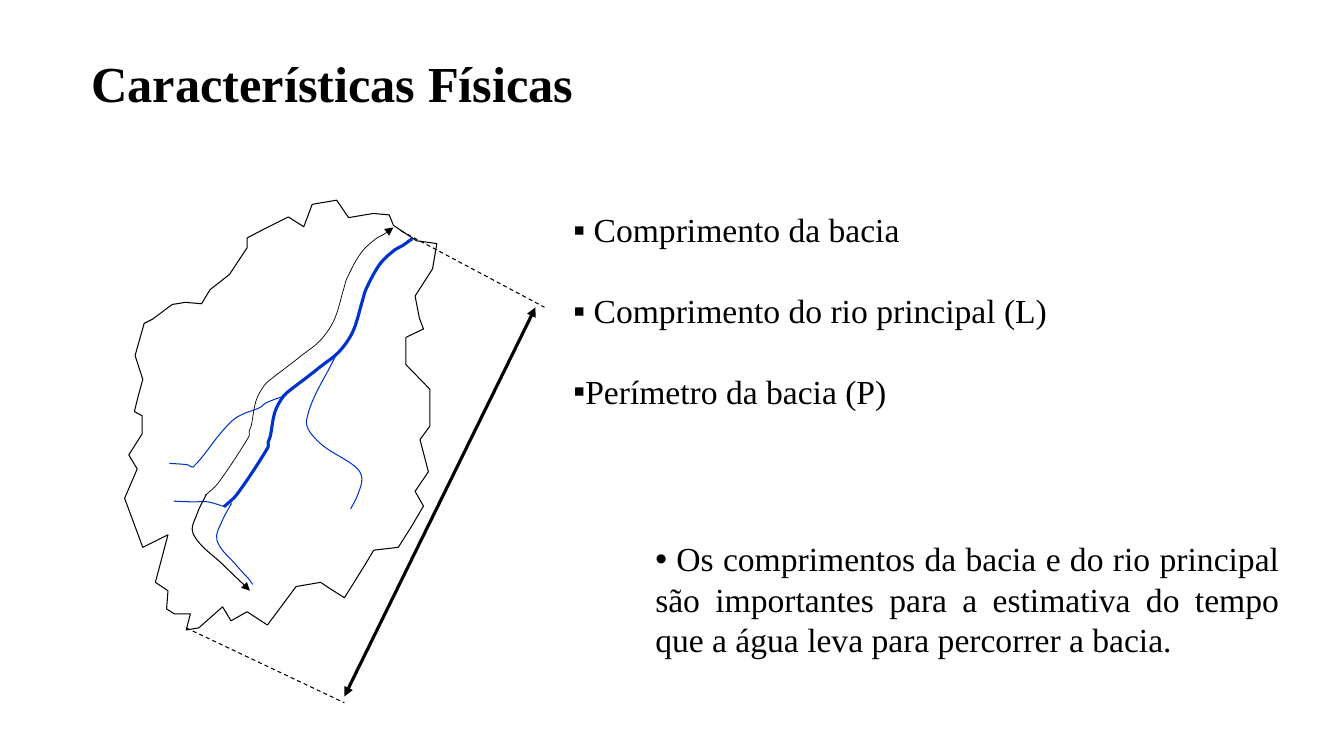
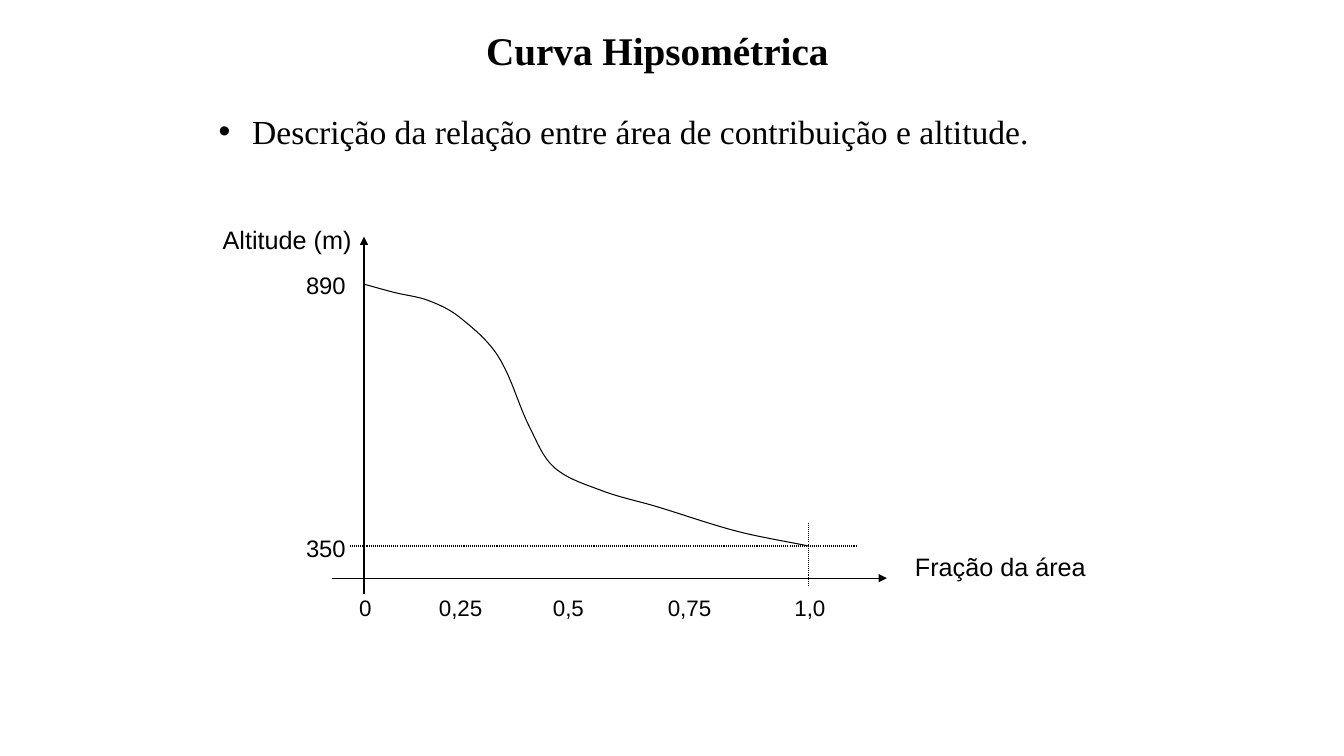
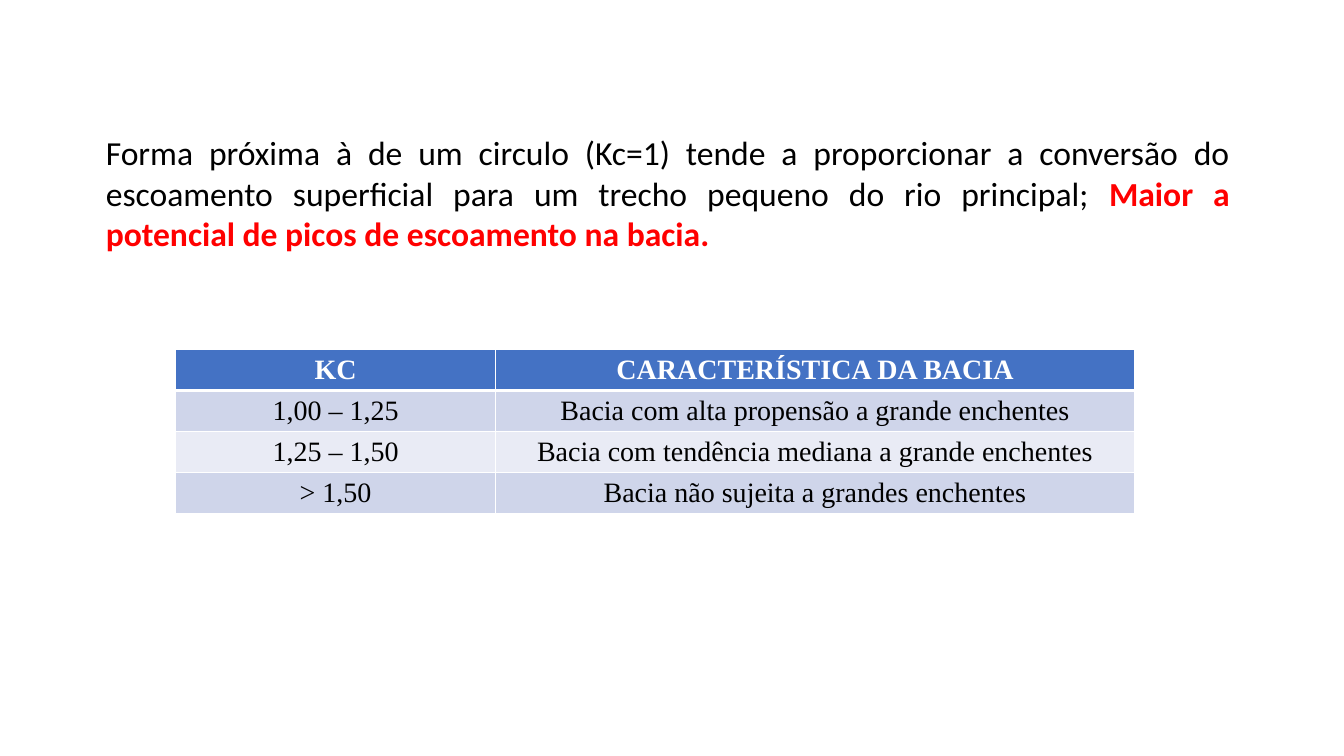
import math

from lxml import etree
from pptx import Presentation
from pptx import util as u
from pptx.dml.color import RGBColor
from pptx.enum import dml, shapes, text
from pptx.oxml.ns import qn

Pt = u.Pt
COLORS = {"ink": "000000", "river": "0033CC", "alert": "FF0000", "white": "FFFFFF",
          "header": "4472C4", "band": "CFD5EA", "band_light": "E9EBF5"}
SERIF, SANS, BODY = "Times New Roman", "Arial", "Calibri"
LEFT, CENTER, JUSTIFY = text.PP_ALIGN.LEFT, text.PP_ALIGN.CENTER, text.PP_ALIGN.JUSTIFY

# Basin drawing, all points in pt
OUTLINE = [
    (119, 435), (120, 422), (111, 416), (120, 382), (102, 391), (89, 356), (98, 335),
    (92, 325), (101.5, 310), (101.5, 297), (96, 294), (99, 282), (102, 271), (96.5, 254),
    (103, 231), (109, 228), (123, 217.5), (132.5, 216), (144, 217), (150, 207), (164, 196),
    (176.5, 177), (176.5, 170), (188, 164), (206, 155), (217, 162), (223, 146), (240.5, 143),
    (249, 155.5), (266.5, 152.5), (278, 153.5), (281, 161), (297.5, 172), (312, 174),
    (309, 192), (296.5, 211.5), (299.5, 227), (302.5, 235), (290, 241), (290, 260.5),
    (307, 278), (307, 304.5), (300, 314), (306, 337), (296.5, 351), (302.5, 361.5),
    (294, 376), (284.5, 391), (267, 393), (261, 403), (252, 417.5), (246, 427), (235, 420),
    (229, 416), (211.5, 419), (191, 446.5), (176.5, 437), (165, 443.5), (159, 433.5),
    (150.5, 441), (142, 448.5), (133, 450), (136, 438.5), (124.5, 438.5)]
MAIN_RIVER = [
    (294.5, 170.5), (287.5, 175.5), (282, 178.5), (271.5, 188.5), (261.5, 206.5),
    (259, 214.5), (252, 237), (242, 251.5), (229.5, 261.5), (218, 270.5), (207.5, 278.5),
    (202.5, 283), (196.5, 294), (193, 312), (191.5, 316), (191.5, 319.5), (169, 353.5),
    (160, 362)]
TRIBUTARIES = [
    [(202.5, 283), (189.5, 288), (186, 291), (173, 296), (166.5, 300), (157.5, 309.5),
     (138, 333.5), (134, 332), (121, 331)],
    [(240, 253.5), (219, 300), (228, 316), (254, 333.5), (258.5, 341.5), (255.5, 353.5),
     (250.5, 363.5)],
    [(160.5, 362), (148.5, 358.5), (138, 358.5), (124, 358)],
    [(165.5, 359.5), (159, 371.5), (155, 386), (169, 404), (178.5, 414.5), (180.5, 417.5)]]
LENGTH_END = [(147.5, 353), (141, 366.5), (138, 381.5), (160.5, 404.5), (175, 418.5),
              (178.5, 422)]
HYPSOMETRIC = [
    (260, 203), (282, 209), (305.5, 214.5), (327.5, 226), (355.5, 254), (378.5, 305.5),
    (396, 334), (430, 350.5), (469.5, 362), (526.5, 379.5), (577.5, 390)]


def rgb(color):
    return RGBColor.from_string(COLORS[color])


def style_line(sp, color="ink", width=0.75, dash=None, head=False, tail=False):
    sp.line.color.rgb = rgb(color)
    sp.line.width = Pt(width)
    if dash:
        sp.line.dash_style = dash
    ln = sp.line._get_or_add_ln()
    for tag, shown in (("a:headEnd", head), ("a:tailEnd", tail)):
        if shown:
            etree.SubElement(ln, qn(tag), type="triangle")


def add_line(parent, start, end, **look):
    sp = parent.add_connector(shapes.MSO_CONNECTOR.STRAIGHT, *map(Pt, start + end))
    style_line(sp, **look)
    etree.SubElement(sp._element.spPr, qn("a:effectLst"))


def add_outline(parent, points, close=False, **look):
    pts = [(Pt(x), Pt(y)) for x, y in points]
    builder = parent.build_freeform(*pts[0])
    builder.add_line_segments(pts[1:], close=close)
    sp = builder.convert_to_shape()
    sp.fill.background()
    sp.shadow.inherit = False
    style_line(sp, **look)
    return sp


def toward(a, b, length):
    """Offset of the given length in the direction from a to b."""
    d = math.dist(a, b) or 1
    return [(q - p) / d * length for p, q in zip(a, b)]


def add_curve(parent, points, **look):
    """Freeform whose straight segments become smooth cubic ones."""
    sp = add_outline(parent, points, **look)
    knots = [(int(e.get("x")), int(e.get("y"))) for e in sp._element.iter(qn("a:pt"))]
    ends = [knots[0]] + knots + [knots[-1]]
    for i, seg in enumerate(list(sp._element.iter(qn("a:lnTo")))):
        before, a, b, after = ends[i:i + 4]
        third = math.dist(a, b) / 3
        c1 = [p + d for p, d in zip(a, toward(before, b, third))]
        c2 = [p - d for p, d in zip(b, toward(a, after, third))]
        seg.tag = qn("a:cubicBezTo")
        for at, (x, y) in enumerate((c1, c2)):
            pt = etree.Element(qn("a:pt"), x=str(round(x)), y=str(round(y)))
            seg.insert(at, pt)


def add_run(p, content, size, font=SERIF, color="ink", bold=False):
    r = p.add_run()
    r.text = content
    r.font.size, r.font.name, r.font.bold = Pt(size), font, bold
    r.font.color.rgb = rgb(color)


def set_bullet(p, char, margin=0, hanging=0):
    pPr = p._p.get_or_add_pPr()
    pPr.set("marL", str(Pt(margin)))
    pPr.set("indent", str(-Pt(hanging)))
    etree.SubElement(pPr, qn("a:buFont"), typeface=SANS)
    etree.SubElement(pPr, qn("a:buChar"), char=char)


def add_text(s, box, *contents, size=24, font=SERIF, align=LEFT, bullet=None, margin=0,
             hanging=0, gap=0, wrap=True):
    """Text box; each content is one paragraph, a list of (text, run look)."""
    tf = s.shapes.add_textbox(*map(Pt, box)).text_frame
    tf.word_wrap = wrap
    for i, runs in enumerate(contents):
        p = tf.paragraphs[0] if i == 0 else tf.add_paragraph()
        if bullet:
            set_bullet(p, bullet, margin, hanging)
        p.alignment = align
        if i:
            p.space_before = Pt(gap)
        for content, look in runs:
            add_run(p, content, size, font, **look)


def plain(content):
    return [(content, {})]


def add_title_slide(prs, title, box, size, align):
    s = prs.slides.add_slide(prs.slide_layouts[5])
    sp = s.shapes.title
    sp.left, sp.top, sp.width, sp.height = map(Pt, box)
    tf = sp.text_frame
    tf.auto_size = text.MSO_AUTO_SIZE.NONE
    tf.vertical_anchor = text.MSO_ANCHOR.MIDDLE
    p = tf.paragraphs[0]
    p.alignment = align
    add_run(p, title, size, bold=True)
    return s


def set_borders(cell, bottom):
    tcPr = cell._tc.get_or_add_tcPr()
    for at, (side, width) in enumerate((("L", 1), ("R", 1), ("T", 1), ("B", bottom))):
        ln = etree.Element(qn("a:ln" + side), w=str(Pt(width)))
        fill = etree.SubElement(ln, qn("a:solidFill"))
        etree.SubElement(fill, qn("a:srgbClr"), val=COLORS["white"])
        tcPr.insert(at, ln)


def add_table(s, left, top, widths, row_height, rows):
    tbl = s.shapes.add_table(len(rows), len(widths), Pt(left), Pt(top), Pt(sum(widths)),
                             Pt(row_height * len(rows))).table
    for col, width in zip(tbl.columns, widths):
        col.width = Pt(width)
    for i, row in enumerate(rows):
        header = i == 0
        fill = "header" if header else ("band_light", "band")[i % 2]
        for j, content in enumerate(row):
            cell = tbl.cell(i, j)
            cell.fill.solid()
            cell.fill.fore_color.rgb = rgb(fill)
            # The thick rule below the header belongs to both rows
            set_borders(cell, bottom=3 if header else 1)
            p = cell.text_frame.paragraphs[0]
            p.alignment = CENTER
            add_run(p, content, 20, color="white" if header else "ink", bold=header)


def draw_basin(s):
    basin = s.shapes.add_group_shape().shapes
    dash = dml.MSO_LINE.DASH
    add_outline(basin, OUTLINE, close=True)
    add_curve(basin, MAIN_RIVER, color="river", width=2.25)
    for tributary in TRIBUTARIES:
        add_curve(basin, tributary, color="river")
    # Basin length
    add_line(basin, (133, 448.5), (246, 502), dash=dash)
    add_line(basin, (382.5, 219.5), (246, 497.5), width=2.25, head=True, tail=True)
    add_line(basin, (286.5, 165), (389, 219.5), dash=dash)
    # River length, parallel to the main river
    add_curve(basin, [(x - 13.5, y - 8) for x, y in MAIN_RIVER], width=0.5, head=True)
    add_curve(basin, LENGTH_END, tail=True)


def physical_features(prs):
    s = add_title_slide(prs, "Características Físicas", (58, 9, 678, 100), 36, LEFT)
    add_text(s, (402.5, 146, 364, 153), plain(" Comprimento da bacia"),
             plain(" Comprimento do rio principal (L)"), plain("Perímetro da bacia (P)"),
             bullet="▪", gap=29)
    draw_basin(s)
    add_text(s, (461, 381, 460, 94),
             plain(" Os comprimentos da bacia e do rio principal são importantes para a "
                   "estimativa do tempo que a água leva para percorrer a bacia."),
             align=JUSTIFY, bullet="•")


def hypsometric_curve(prs):
    s = add_title_slide(prs, "Curva Hipsométrica", (194, 15, 551, 41), 28, CENTER)
    add_text(s, (131, 75.5, 691, 37),
             plain("Descrição da relação entre área de contribuição e altitude."),
             bullet="•", margin=42, hanging=24)
    # Axes and curve
    add_line(s.shapes, (237, 413), (633.5, 413), tail=True)
    add_line(s.shapes, (260, 424), (260, 169), tail=True)
    add_curve(s.shapes, HYPSOMETRIC)
    dots = dml.MSO_LINE.ROUND_DOT
    add_line(s.shapes, (577.5, 373.5), (577.5, 419), dash=dots)
    add_line(s.shapes, (250, 390), (612.5, 390), dash=dots)
    # Axis titles and scale labels
    for title, left, top, width in (("Altitude (m)", 152, 157, 112),
                                    ("Fração da área", 646.5, 390.5, 160)):
        add_text(s, (left, top, width, 29), plain(title), size=18, font=SANS)
    for label, top in (("890", 190), ("350", 377.5)):
        add_text(s, (211.5, top, 43, 28), plain(label), size=17, font=SANS, wrap=False)
    for label, middle in (("0", 261), ("0,25", 329), ("0,5", 406), ("0,75", 492.5),
                          ("1,0", 578.5)):
        add_text(s, (middle - 23, 420.5, 46, 27), plain(label), size=16, font=SANS,
                 align=CENTER, wrap=False)


def compactness(prs):
    s = prs.slides.add_slide(prs.slide_layouts[6])
    add_table(s, 125.5, 249.5, (228.5, 456.5), 29.3, [
        ("KC", "CARACTERÍSTICA DA BACIA"),
        ("1,00 – 1,25", "Bacia com alta propensão a grande enchentes"),
        ("1,25 – 1,50", "Bacia com tendência mediana a grande enchentes"),
        ("> 1,50", "Bacia não sujeita a grandes enchentes")])
    add_text(s, (68.5, 91, 817, 95), [
        ("Forma próxima à de um circulo (Kc=1) tende a proporcionar a conversão do "
         "escoamento superficial para um trecho pequeno do rio principal; ", {}),
        ("Maior a potencial de picos de escoamento na bacia.",
         {"color": "alert", "bold": True})], font=BODY, align=JUSTIFY)


def main():
    prs = Presentation()
    prs.slide_width, prs.slide_height = Pt(960), Pt(540)
    physical_features(prs)
    hypsometric_curve(prs)
    compactness(prs)
    prs.save("out.pptx")


if __name__ == "__main__":
    main()
